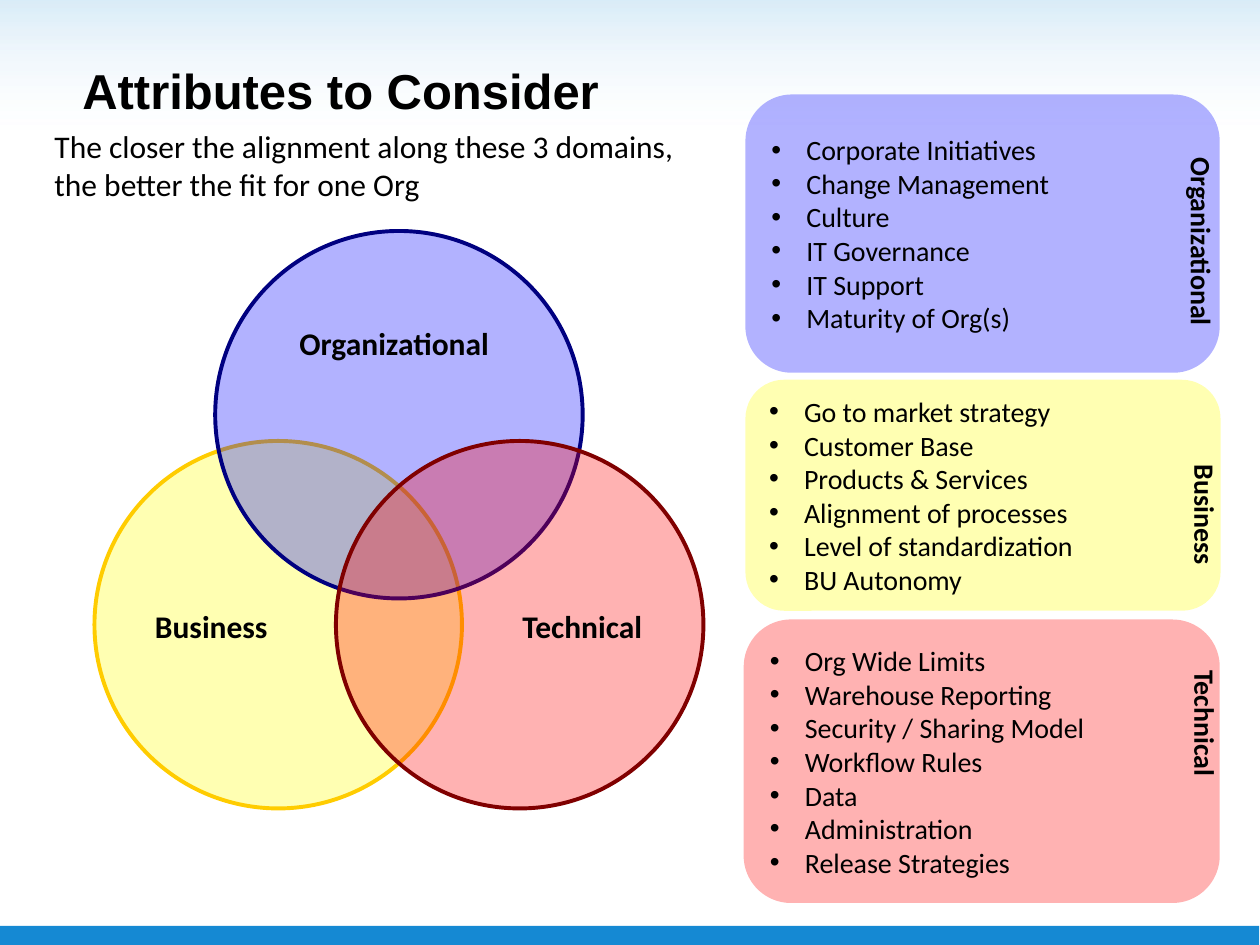
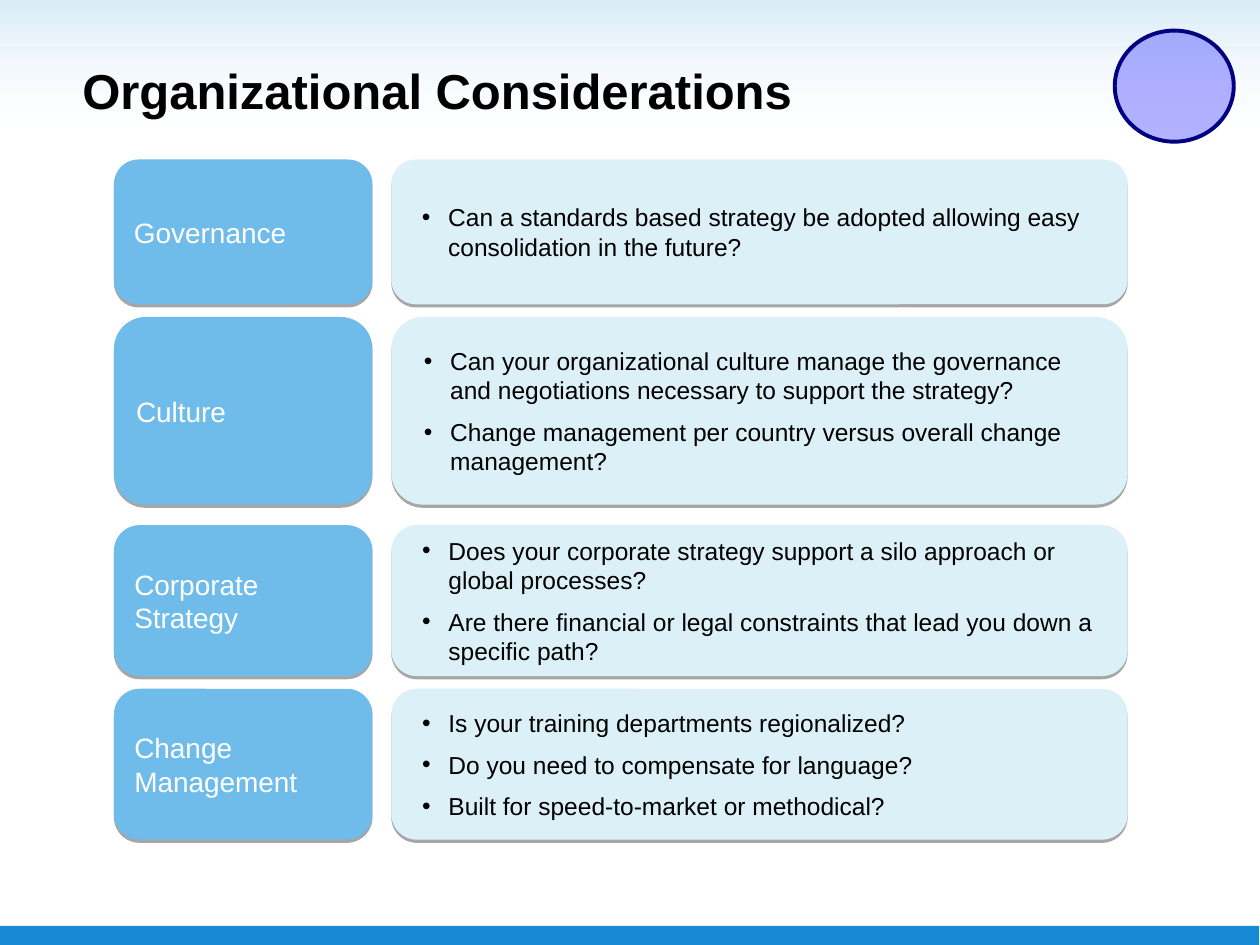
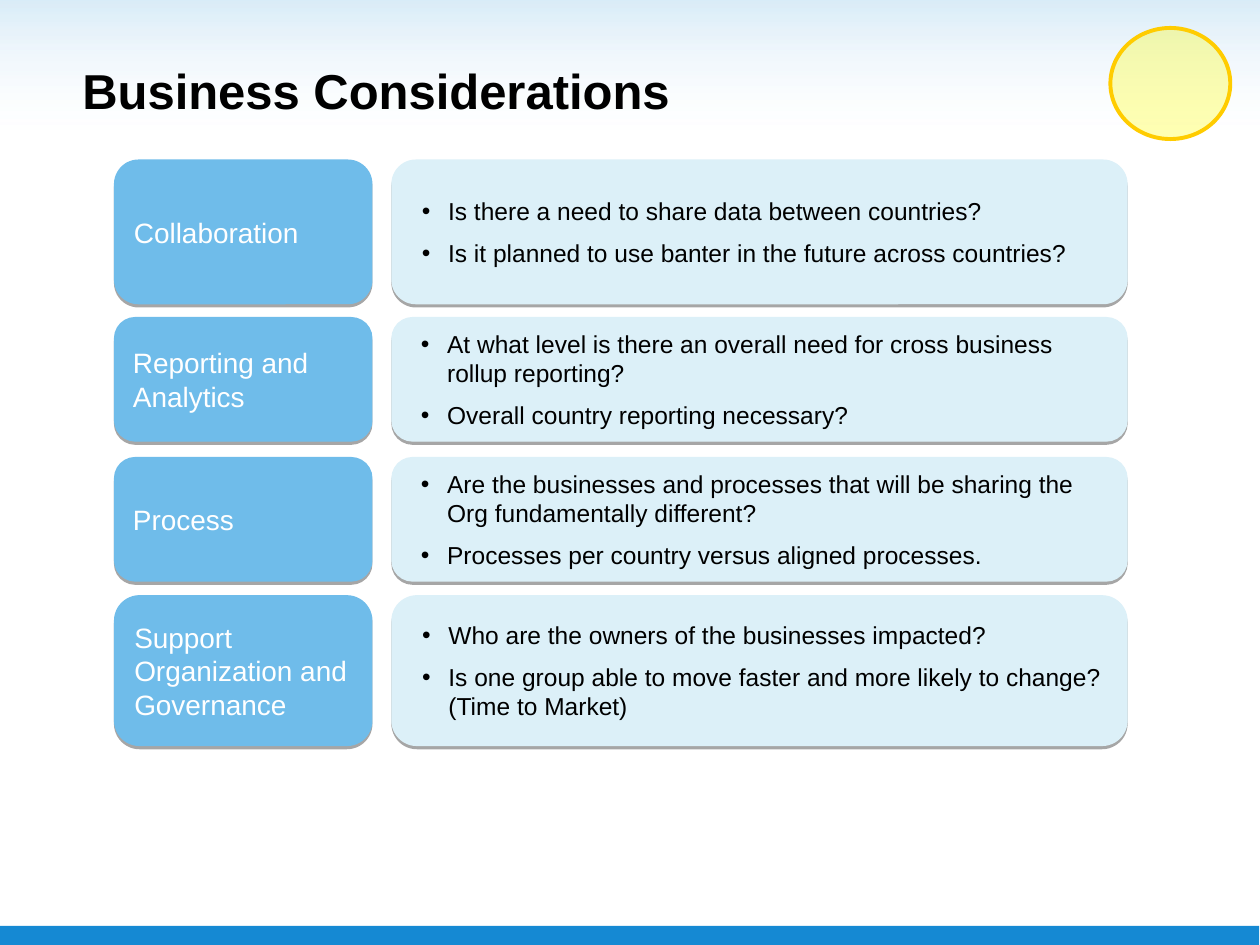
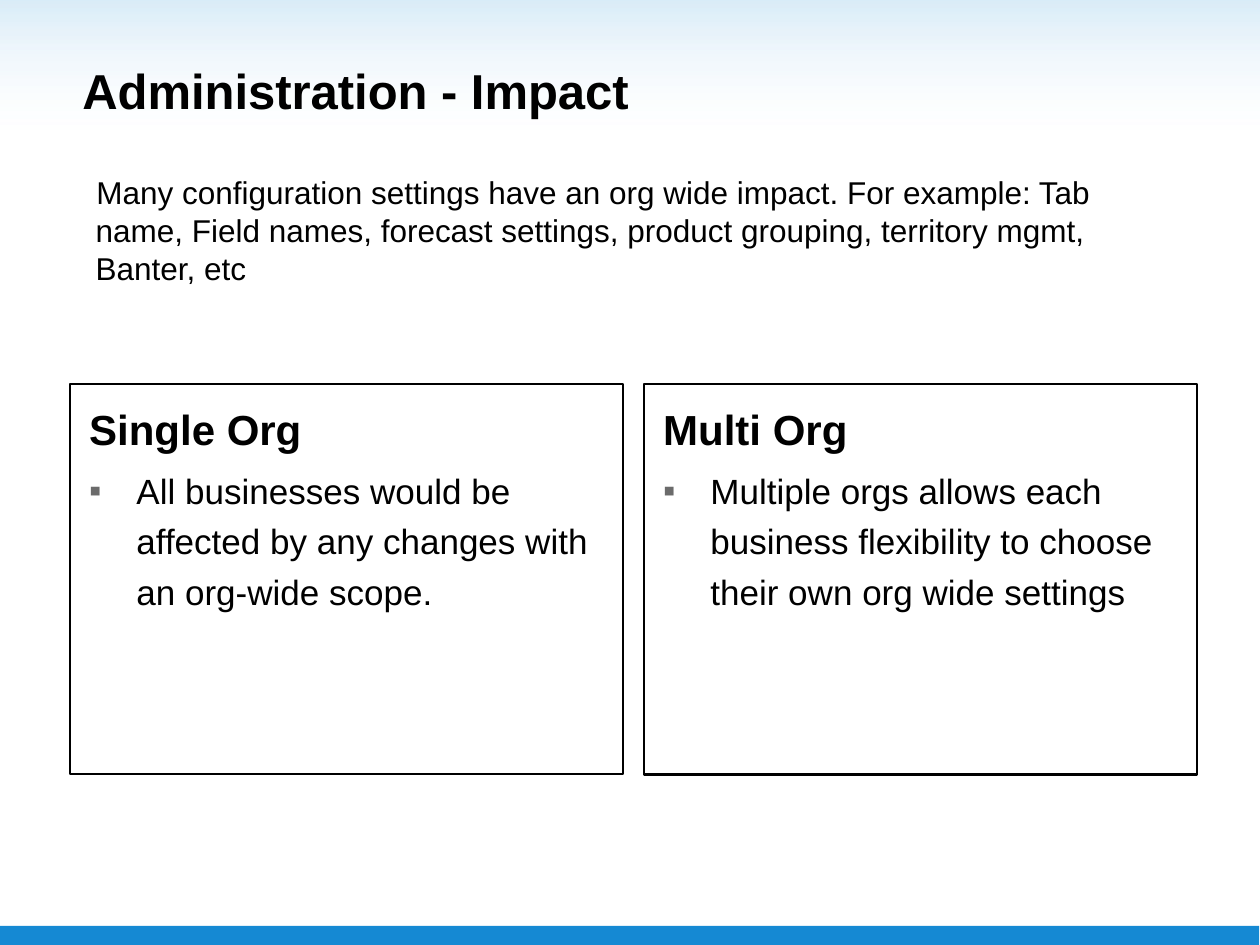
from collections import namedtuple
from dataclasses import dataclass

from lxml import etree
from pptx import Presentation
from pptx.dml import color
from pptx.enum import shapes, text
from pptx.oxml import ns
from pptx.util import Pt

Box = namedtuple("Box", "left top width height")
Domain = namedtuple("Domain", "name fill line")
SHAPE = shapes.MSO_SHAPE
MIDDLE = text.MSO_ANCHOR.MIDDLE
ALIGN = text.PP_ALIGN


@dataclass(frozen=True)
class Theme:
    heading_font: str = "Arial"
    domain_font: str = "Calibri"
    ink: str = "000000"
    paper: str = "FFFFFF"
    brand: str = "1589D3"
    topic: str = "6FBCEA"
    answer: str = "DCF0F8"
    bullet: str = "6B6B6B"
    domain_alpha: int = 30
    title_size: int = 28
    column_size: int = 24
    column_body_size: int = 20
    intro_size: int = 18
    topic_size: int = 16
    answer_size: int = 14


THEME = Theme()
ORGANIZATIONAL = Domain("Organizational", "0000FF", "000080")
BUSINESS = Domain("Business", "FFFF00", "FFCC00")
TECHNICAL = Domain("Technical", "FF0000", "800000")


# ---- Shared helpers ----

def add_xml(parent, tag, **attributes):
    return etree.SubElement(parent, ns.qn(f"a:{tag}"),
                            {key: str(value) for key, value in attributes.items()})


def points(box):
    return [Pt(length) for length in box]


def add_figure(slide, kind, box, fill=None, alpha=None, line=None, weight=0.75):
    figure = slide.shapes.add_shape(kind, *points(box))
    figure.shadow.inherit = False
    if fill:
        figure.fill.solid()
        figure.fill.fore_color.rgb = color.RGBColor.from_string(fill)
        if alpha is not None:
            tint = figure._element.spPr.find(".//" + ns.qn("a:srgbClr"))
            add_xml(tint, "alpha", val=alpha * 1000)
    else:
        figure.fill.background()
    if line:
        figure.line.color.rgb = color.RGBColor.from_string(line)
        figure.line.width = Pt(weight)
    else:
        figure.line.fill.background()
    return figure


def style(paragraph, size, font=THEME.heading_font, ink=THEME.ink, bold=False,
          align=ALIGN.LEFT):
    paragraph.alignment = align
    for run in paragraph.runs:
        run.font.size = Pt(size)
        run.font.name = font
        run.font.bold = bold
        run.font.color.rgb = color.RGBColor.from_string(ink)


def write(holder, lines, size, anchor=MIDDLE, wrap=True, **look):
    frame = holder.text_frame
    frame.word_wrap = wrap
    frame.vertical_anchor = anchor
    frame.text = "\n".join(lines)
    for paragraph in frame.paragraphs:
        style(paragraph, size, **look)
    return frame


def add_text(slide, box, line, size, **look):
    holder = slide.shapes.add_textbox(*points(box))
    return write(holder, [line], size, **look)


def indent(paragraph, left, first):
    properties = paragraph._p.get_or_add_pPr()
    properties.set("marL", str(Pt(left)))
    properties.set("indent", str(Pt(first)))
    return properties


def add_bullet(paragraph, hang, left=None, mark="•", ink=None):
    properties = indent(paragraph, left or hang, -hang)
    if ink:
        add_xml(add_xml(properties, "buClr"), "srgbClr", val=ink)
    add_xml(properties, "buFont", typeface="Arial")
    add_xml(properties, "buChar", char=mark)


# ---- Slide frame ----

def add_frame(deck, title):
    slide = deck.slides.add_slide(deck.slide_layouts[6])
    # Footer band and fading header
    add_figure(slide, SHAPE.RECTANGLE, Box(-0.5, 529, 720, 13), THEME.brand)
    header = add_figure(slide, SHAPE.RECTANGLE, Box(0, 0, 720, 113))
    fade = etree.Element(ns.qn("a:gradFill"), rotWithShape="1")
    stops = add_xml(fade, "gsLst")
    for position, shade, alpha in ((27, THEME.paper, 0), (100, THEME.brand, 16)):
        stop = add_xml(stops, "gs", pos=position * 1000)
        add_xml(add_xml(stop, "srgbClr", val=shade), "alpha", val=alpha * 1000)
    add_xml(fade, "lin", ang=270 * 60000, scaled=0)
    properties = header._element.spPr
    properties.replace(properties.find(ns.qn("a:noFill")), fade)
    # Title
    add_text(slide, Box(40, 20, 648, 63), title, THEME.title_size, bold=True)
    return slide


# ---- Domains slide ----

def add_venn(slide, box):
    diameter = 210
    # Circle offset, then label offset and width within the circle
    circles = (
        (BUSINESS, 0, 120, 27.5, 91.5, 83.5),
        (ORGANIZATIONAL, 69, 0, 41, 49.5, 124.5),
        (TECHNICAL, 138, 120, 99.5, 91.5, 83.5),
    )
    for domain, x, y, *_ in circles:
        add_figure(slide, SHAPE.OVAL,
                   Box(box.left + x, box.top + y, diameter, diameter),
                   domain.fill, THEME.domain_alpha, domain.line, 2.25)
    for domain, x, y, label_x, label_y, width in circles:
        add_text(slide, Box(box.left + x + label_x, box.top + y + label_y, width, 29),
                 domain.name, THEME.intro_size, font=THEME.domain_font, bold=True,
                 anchor=text.MSO_ANCHOR.TOP, wrap=False)


def add_panel(slide, box, domain, attributes, label_box):
    panel = add_figure(slide, SHAPE.ROUNDED_RECTANGLE, box, domain.fill,
                       THEME.domain_alpha)
    frame = write(panel, attributes, THEME.topic_size, font=THEME.domain_font)
    for paragraph in frame.paragraphs:
        add_bullet(paragraph, 20)
    # Domain name running down the right edge
    place = Box(box.left + label_box.left, box.top + label_box.top,
                label_box.width, label_box.height)
    label = add_text(slide, place, domain.name, THEME.topic_size,
                     font=THEME.domain_font, bold=True, align=ALIGN.RIGHT,
                     anchor=text.MSO_ANCHOR.TOP, wrap=False)
    label._txBody.bodyPr.set("vert", "eaVert")


def domains_slide(deck):
    slide = add_frame(deck, "Attributes to Consider")
    add_venn(slide, Box(54, 132, 348, 330))
    add_panel(slide, Box(426, 54, 271, 159), ORGANIZATIONAL,
              ["Corporate Initiatives", "Change Management", "Culture",
               "IT Governance", "IT Support", "Maturity of Org(s)"],
              Box(240, 29, 34, 105))
    add_panel(slide, Box(426, 217, 271.5, 132), BUSINESS,
              ["Go to market strategy", "Customer Base", "Products & Services",
               "Alignment of processes", "Level of standardization", "BU Autonomy"],
              Box(242, 41.5, 34, 65))
    add_panel(slide, Box(425, 354, 272, 162), TECHNICAL,
              ["Org Wide Limits", "Warehouse Reporting", "Security / Sharing Model",
               "Workflow Rules", "Data", "Administration", "Release Strategies"],
              Box(243, 22, 34, 71))
    add_text(slide, Box(24, 69, 378, 51),
             "The closer the alignment along these 3 domains, "
             "the better the fit for one Org",
             THEME.intro_size, font=THEME.domain_font, anchor=text.MSO_ANCHOR.TOP)


# ---- Considerations slides ----

def add_card(slide, box, fill):
    card = add_figure(slide, SHAPE.ROUNDED_RECTANGLE, box, fill, line=fill)
    effects = card._element.spPr.find(ns.qn("a:effectLst"))
    shadow = add_xml(effects, "outerShdw", blurRad=0, dist=Pt(1.8),
                     dir=90 * 60000, rotWithShape=0)
    add_xml(add_xml(shadow, "srgbClr", val="000000"), "alpha", val=35000)
    return card


def add_consideration(slide, box, topic, questions):
    topic_width, gutter = 147, 11.5
    topic_card = add_card(slide, box._replace(width=topic_width), THEME.topic)
    write(topic_card, [topic], THEME.topic_size, ink=THEME.paper)
    offset = topic_width + gutter
    answer_card = add_card(slide, box._replace(left=box.left + offset,
                                               width=box.width - offset), THEME.answer)
    frame = write(answer_card, questions, THEME.answer_size)
    for paragraph in frame.paragraphs:
        paragraph.level = 1
        add_bullet(paragraph, 15, left=21)
    for paragraph in frame.paragraphs[:-1]:
        paragraph.space_after = Pt(7)


def considerations_slide(deck, domain, marker_box, rows):
    slide = add_frame(deck, f"{domain.name} Considerations")
    grid = Box(65.5, 91.5, 578.5, 388)
    for top, height, topic, questions in rows:
        add_consideration(slide, grid._replace(top=grid.top + top, height=height),
                          topic, questions)
    # Circle recalling the domain
    add_figure(slide, SHAPE.OVAL, marker_box, domain.fill, THEME.domain_alpha,
               domain.line, 2.25)


# ---- Impact slide ----

def add_org_column(slide, box, heading, impact, weight):
    column = add_figure(slide, SHAPE.RECTANGLE, box, line=THEME.ink, weight=weight)
    frame = write(column, [heading, impact], THEME.column_size,
                  anchor=text.MSO_ANCHOR.TOP, bold=True)
    frame.margin_left = frame.margin_right = Pt(11)
    frame.margin_top = frame.margin_bottom = Pt(5.5)
    title, body = frame.paragraphs
    style(body, THEME.column_body_size)
    indent(title, 27, -27)
    add_bullet(body, 27, mark="▪", ink=THEME.bullet)
    for paragraph, size in ((title, THEME.column_size), (body, THEME.column_body_size)):
        paragraph.line_spacing = 1.2
        paragraph.space_before = Pt(0.2 * size)


def impact_slide(deck):
    slide = add_frame(deck, "Administration - Impact")
    columns = (
        ("Single Org", "All businesses would be affected by any changes with "
         "an org-wide scope.", 1),
        ("Multi Org", "Multiple orgs allows each business flexibility to choose "
         "their own org wide settings", 1.5),
    )
    width, gap = 316, 12
    for index, column in enumerate(columns):
        add_org_column(slide, Box(40 + index * (width + gap), 219.5, width, 223), *column)
    # Introduction
    intro = add_text(slide, Box(29.5, 86.5, 657.5, 90),
                     "Many configuration settings have an org wide impact. For example: "
                     "Tab name, Field names, forecast settings, product grouping, "
                     "territory mgmt, Banter, etc", THEME.intro_size)
    intro.margin_right = Pt(24)
    indent(intro.paragraphs[0], 18, 0.5)
    intro.paragraphs[0].space_before = Pt(4.5)


def main():
    deck = Presentation()
    deck.slide_width, deck.slide_height = Pt(720), Pt(540)
    domains_slide(deck)
    considerations_slide(deck, ORGANIZATIONAL, Box(637, 17.5, 68, 63.5), [
        (0, 82, "Governance",
         ["Can a standards based strategy be adopted allowing easy consolidation "
          "in the future?"]),
        (90, 106.5, "Culture",
         ["Can your organizational culture manage the governance and negotiations "
          "necessary to support the strategy?",
          "Change management per country versus overall change management?"]),
        (209, 85.5, "Corporate Strategy",
         ["Does your corporate strategy support a silo approach or global processes?",
          "Are there financial or legal constraints that lead you down a specific path?"]),
        (302.5, 85.5, "Change Management",
         ["Is your training departments regionalized?",
          "Do you need to compensate for language?",
          "Built for speed-to-market or methodical?"]),
    ])
    considerations_slide(deck, BUSINESS, Box(634.5, 16, 68.5, 63.5), [
        (0, 82, "Collaboration",
         ["Is there a need to share data between countries?",
          "Is it planned to use banter in the future across countries?"]),
        (90, 70.5, "Reporting and Analytics",
         ["At what level is there an overall need for cross business rollup reporting?",
          "Overall country reporting necessary?"]),
        (170, 70.5, "Process",
         ["Are the businesses and processes that will be sharing the Org "
          "fundamentally different?",
          "Processes per country versus aligned processes."]),
        (249, 85.5, "Support Organization and Governance",
         ["Who are the owners of the businesses impacted?",
          "Is one group able to move faster and more likely to change? "
          "(Time to Market)"]),
    ])
    impact_slide(deck)
    deck.save("out.pptx")


if __name__ == "__main__":
    main()
